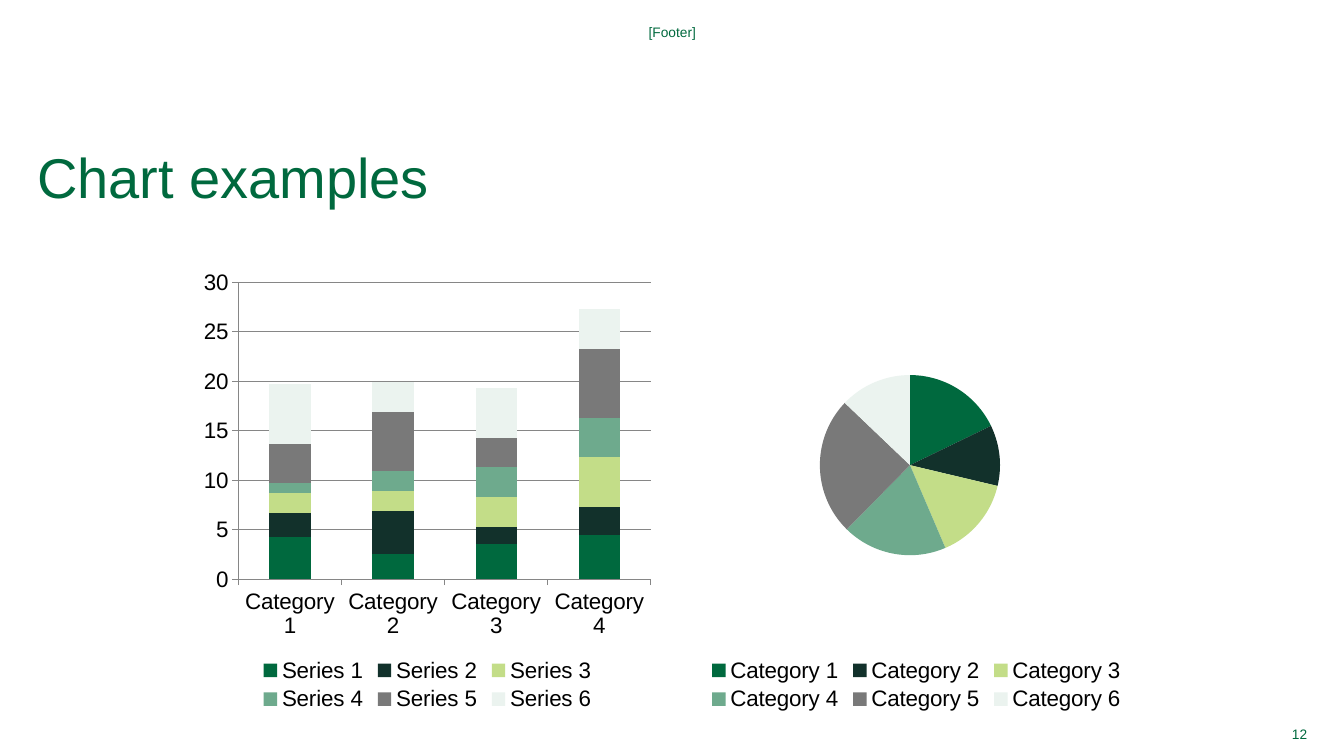
from dataclasses import dataclass

from pptx import Presentation, oxml
from pptx import slide as sl
from pptx import util as u
from pptx.chart import chart as ch
from pptx.chart import data as cd
from pptx.dml.color import RGBColor
from pptx.enum import chart as ce
from pptx.enum import text
from pptx.oxml import ns

Pt = u.Pt
FONT = "Arial"
GREEN = RGBColor(0x00, 0x69, 0x3E)
BLACK = RGBColor(0, 0, 0)
GREY = RGBColor(0x86, 0x86, 0x86)
FILLS = [
    GREEN,
    RGBColor(0x12, 0x31, 0x2B),
    RGBColor(0xC3, 0xDD, 0x88),
    RGBColor(0x6E, 0xAA, 0x8D),
    RGBColor(0x79, 0x79, 0x79),
    RGBColor(0xEB, 0xF3, 0xEF),
]


@dataclass
class Label:
    words: str
    box: tuple[float, float, float, float]
    size: float
    align: text.PP_ALIGN
    anchor: text.MSO_ANCHOR
    space: float = 1.0


@dataclass
class Graph:
    kind: ce.XL_CHART_TYPE
    left: float
    rows: list[list[float]]


LABELS = [
    Label("Chart examples", (26.6, 109.4, 909.4, 72.7), 40,
          text.PP_ALIGN.LEFT, text.MSO_ANCHOR.TOP, 0.85),
    Label("[Footer]", (187.9, 14.4, 584.6, 17.3), 9.8,
          text.PP_ALIGN.CENTER, text.MSO_ANCHOR.MIDDLE),
    Label("12", (892.8, 515.5, 41, 17.3), 9.8,
          text.PP_ALIGN.RIGHT, text.MSO_ANCHOR.MIDDLE),
]
STACK = Graph(ce.XL_CHART_TYPE.COLUMN_STACKED, 139, [
    [4.3, 2.5, 3.5, 4.5],
    [2.4, 4.4, 1.8, 2.8],
    [2, 2, 3, 5],
    [1, 2, 3, 4],
    [4, 6, 3, 7],
    [6, 3, 5, 4],
])
PIE = Graph(ce.XL_CHART_TYPE.PIE, 488.2, [
    [18, 11, 15, 19, 25, 13],
    [12, 23, 9, 14, 15, 26],
    [9, 9, 13, 22, 26, 22],
    [5, 11, 16, 21, 11, 37],
    [15, 23, 12, 27, 15, 8],
    [20, 10, 17, 13, 27, 13],
])


def add_label(page: sl.Slide, label: Label) -> None:
    frame = page.shapes.add_textbox(*map(Pt, label.box)).text_frame
    frame.word_wrap = True
    frame.vertical_anchor = label.anchor
    frame.margin_left = frame.margin_right = 0
    frame.margin_top = frame.margin_bottom = 0
    para = frame.paragraphs[0]
    para.alignment = label.align
    para.line_spacing = label.space
    run = para.add_run()
    run.text = label.words
    run.font.name = FONT
    run.font.size = Pt(label.size)
    run.font.color.rgb = GREEN


def add_graph(page: sl.Slide, graph: Graph) -> ch.Chart:
    data = cd.CategoryChartData()
    data.categories = [f"Category {i + 1}" for i in range(len(graph.rows[0]))]
    for i, row in enumerate(graph.rows, 1):
        data.add_series(f"Series {i}", row)
    chart = page.shapes.add_chart(
        graph.kind, Pt(graph.left), Pt(186.5), Pt(332.6), Pt(324.7), data
    ).chart
    chart.replace_data(data)
    chart.has_title = False
    chart.font.name = FONT
    chart.font.size = Pt(18)
    chart.font.color.rgb = BLACK
    chart.has_legend = True
    chart.legend.position = ce.XL_LEGEND_POSITION.BOTTOM
    chart.legend.include_in_layout = False
    chart.legend.font.size = Pt(16)
    return chart


def style_stack(chart: ch.Chart) -> None:
    plot = chart.plots[0]
    plot.vary_by_categories = False
    plot.gap_width = 150
    plot.overlap = 100
    for row, fill in zip(plot.series, FILLS):
        row.format.fill.solid()
        row.format.fill.fore_color.rgb = fill
    scale = chart.value_axis
    scale.has_major_gridlines = True
    lines = [scale.major_gridlines.format.line]
    for axis in (chart.category_axis, scale):
        axis.major_tick_mark = ce.XL_TICK_MARK.OUTSIDE
        axis.minor_tick_mark = ce.XL_TICK_MARK.NONE
        axis.tick_labels.font.size = Pt(16)
        lines.append(axis.format.line)
    for line in lines:
        line.width = Pt(0.75)
        line.color.rgb = GREY


def style_pie(chart: ch.Chart) -> None:
    plot = chart.plots[0]
    plot.vary_by_categories = True
    for row in plot.series:
        for i, fill in enumerate(FILLS):
            wedge = row.points[i].format.fill
            wedge.solid()
            wedge.fore_color.rgb = fill
    area = chart.element.find(f".//{ns.qn('c:plotArea')}")
    for old in area.findall(ns.qn("c:layout")):
        area.remove(old)
    modes = '<c:layoutTarget val="inner"/><c:xMode val="edge"/><c:yMode val="edge"/>'
    sides = "".join(
        f'<c:{side} val="{part}"/>'
        for side, part in zip("xywh", (0.293, 0.024, 0.387, 0.85))
    )
    area.insert(0, oxml.parse_xml(
        f"<c:layout {ns.nsdecls('c')}><c:manualLayout>{modes}{sides}"
        "</c:manualLayout></c:layout>"
    ))


def main() -> None:
    deck = Presentation()
    deck.slide_width, deck.slide_height = Pt(960), Pt(540)
    page = deck.slides.add_slide(deck.slide_layouts[6])
    style_stack(add_graph(page, STACK))
    style_pie(add_graph(page, PIE))
    for label in LABELS:
        add_label(page, label)
    deck.save("out.pptx")


if __name__ == "__main__":
    main()
